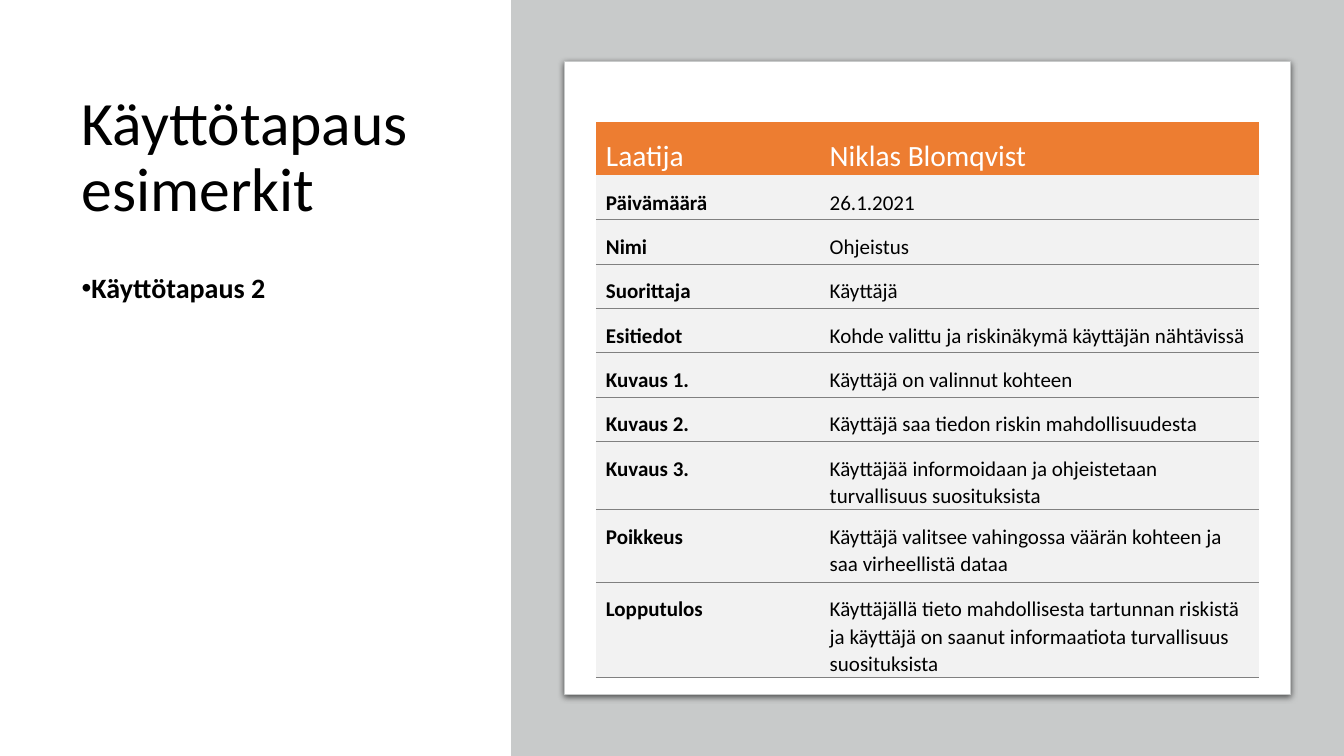
import pptx
import pptx.util
import pptx.dml.color
import pptx.enum.shapes
import pptx.enum.text
from pptx.oxml import parse_xml
from pptx.oxml.ns import nsdecls, qn
from pptx.util import Inches

ANCHOR = pptx.enum.text.MSO_ANCHOR
SHAPE = pptx.enum.shapes.MSO_SHAPE
PLAIN_TABLE_STYLE = "{2D5ABB26-0587-4C30-8999-92F81FD0307C}"

ROWS = [
    ("Laatija", "Niklas Blomqvist"),
    ("Päivämäärä", "26.1.2021"),
    ("Nimi", "Ohjeistus"),
    ("Suorittaja", "Käyttäjä"),
    ("Esitiedot", "Kohde valittu ja riskinäkymä käyttäjän nähtävissä"),
    ("Kuvaus 1.", "Käyttäjä on valinnut kohteen"),
    ("Kuvaus 2.", "Käyttäjä saa tiedon riskin mahdollisuudesta"),
    ("Kuvaus 3.", "Käyttäjää informoidaan ja ohjeistetaan turvallisuus suosituksista"),
    ("Poikkeus", "Käyttäjä valitsee vahingossa väärän kohteen ja saa virheellistä dataa"),
    ("Lopputulos", "Käyttäjällä tieto mahdollisesta tartunnan riskistä ja käyttäjä "
                   "on saanut informaatiota turvallisuus suosituksista"),
]
COLUMN_WIDTHS = [2.22, 4.36]
ROW_HEIGHTS = [0.53] + [0.44] * 7 + [0.72] * 2


def color(value):
    return pptx.dml.color.RGBColor.from_string(value)


def apply_format(target, values):
    for name, value in values.items():
        setattr(target, name, value)


def place(shape, left, top, width, height):
    apply_format(shape, {"left": Inches(left), "top": Inches(top),
                         "width": Inches(width), "height": Inches(height)})


class SlideBuilder:
    font = "Calibri"
    black, white = "000000", "FFFFFF"
    gray, accent, cell_fill, rule = "C8CACA", "ED7D31", "F2F2F2", "808080"

    def __init__(self, slide):
        self.slide = slide

    def fill_text(self, frame, text, size, text_color, bold=False, **spacing):
        frame.text = text
        paragraph = frame.paragraphs[0]
        apply_format(paragraph, {"alignment": pptx.enum.text.PP_ALIGN.LEFT, **spacing})
        font = paragraph.runs[0].font
        apply_format(font, {"name": self.font, "size": pptx.util.Pt(size), "bold": bold})
        font.color.rgb = color(text_color)
        return paragraph

    def title(self, text, *box):
        shape = self.slide.shapes.title
        place(shape, *box)
        apply_format(shape.text_frame, {"vertical_anchor": ANCHOR.MIDDLE, "word_wrap": True})
        self.fill_text(shape.text_frame, text, 44, self.black, line_spacing=0.9)

    def bullet(self, text, *box):
        shape = self.slide.placeholders[1]
        place(shape, *box)
        apply_format(shape.text_frame, {"vertical_anchor": ANCHOR.TOP, "word_wrap": True})
        paragraph = self.fill_text(shape.text_frame, text, 20, self.black, True, line_spacing=0.9,
                                   space_before=0, space_after=pptx.util.Pt(6))
        properties = paragraph._p.get_or_add_pPr()
        properties.set("marL", "0")
        properties.set("indent", str(-Inches(0.25)))
        properties.append(parse_xml(f'<a:buFont {nsdecls("a")} typeface="Arial"/>'))
        properties.append(parse_xml(f'<a:buChar {nsdecls("a")} char="•"/>'))

    def panel(self, kind, fill, *box, line=None):
        shape = self.slide.shapes.add_shape(kind, *map(Inches, box))
        shape.shadow.inherit = False
        shape.fill.solid()
        shape.fill.fore_color.rgb = color(fill)
        if line:
            shape.line.color.rgb = color(line)
            shape.line.width = pptx.util.Pt(0.75)
        else:
            shape.line.fill.background()
        return shape

    def card(self, *box):
        shape = self.panel(SHAPE.ROUNDED_RECTANGLE, self.white, *box, line=self.gray)
        shape.adjustments[0] = 0
        effects = shape._element.spPr.find(qn("a:effectLst"))
        effects.append(parse_xml(
            f'<a:outerShdw {nsdecls("a")} blurRad="{pptx.util.Pt(4.5)}" '
            f'dist="{pptx.util.Pt(1.5)}" dir="5400000" algn="t" rotWithShape="0">'
            f'<a:srgbClr val="{self.black}"><a:alpha val="63000"/></a:srgbClr></a:outerShdw>'))

    def cell(self, cell, text, header, bold):
        apply_format(cell, {"margin_left": Inches(0.1), "margin_right": Inches(0.1),
                            "margin_top": Inches(0.13), "margin_bottom": 0,
                            "vertical_anchor": ANCHOR.MIDDLE if header else ANCHOR.TOP})
        cell.fill.solid()
        cell.fill.fore_color.rgb = color(self.accent if header else self.cell_fill)
        self.fill_text(cell.text_frame, text, 21 if header else 15,
                       self.white if header else self.black, bold, line_spacing=1.07)
        if not header:
            cell._tc.get_or_add_tcPr().insert(0, parse_xml(
                f'<a:lnB {nsdecls("a")} w="{pptx.util.Pt(0.75)}"><a:solidFill>'
                f'<a:srgbClr val="{self.rule}"/></a:solidFill></a:lnB>'))

    def table(self, rows, left, top, widths, heights):
        table = self.slide.shapes.add_table(
            len(rows), len(widths), Inches(left), Inches(top),
            Inches(sum(widths)), Inches(sum(heights))).table
        apply_format(table, {"first_row": False, "horz_banding": False})
        table._tbl.tblPr.find(qn("a:tableStyleId")).text = PLAIN_TABLE_STYLE
        for column, width in zip(table.columns, widths):
            column.width = Inches(width)
        for row_index, (texts, height) in enumerate(zip(rows, heights)):
            table.rows[row_index].height = Inches(height)
            header = row_index == 0
            for column_index, text in enumerate(texts):
                self.cell(table.cell(row_index, column_index), text, header,
                          bold=not header and column_index == 0)


def main():
    presentation = pptx.Presentation()
    apply_format(presentation, {"slide_width": Inches(13.33), "slide_height": Inches(7.5)})
    builder = SlideBuilder(presentation.slides.add_slide(presentation.slide_layouts[1]))

    # Left column: title and list
    builder.title("Käyttötapaus esimerkit", 0.71, 0.69, 3.83, 1.77)
    builder.bullet("Käyttötapaus 2", 0.71, 2.67, 3.83, 4.14)

    # Right side: gray field with a white card
    builder.panel(SHAPE.RECTANGLE, builder.gray, 5.07, 0, 8.26, 7.5)
    builder.card(5.6, 0.61, 7.2, 6.28)

    # Use case table on the card
    builder.table(ROWS, 5.91, 1.21, COLUMN_WIDTHS, ROW_HEIGHTS)

    presentation.save("out.pptx")


if __name__ == "__main__":
    main()
